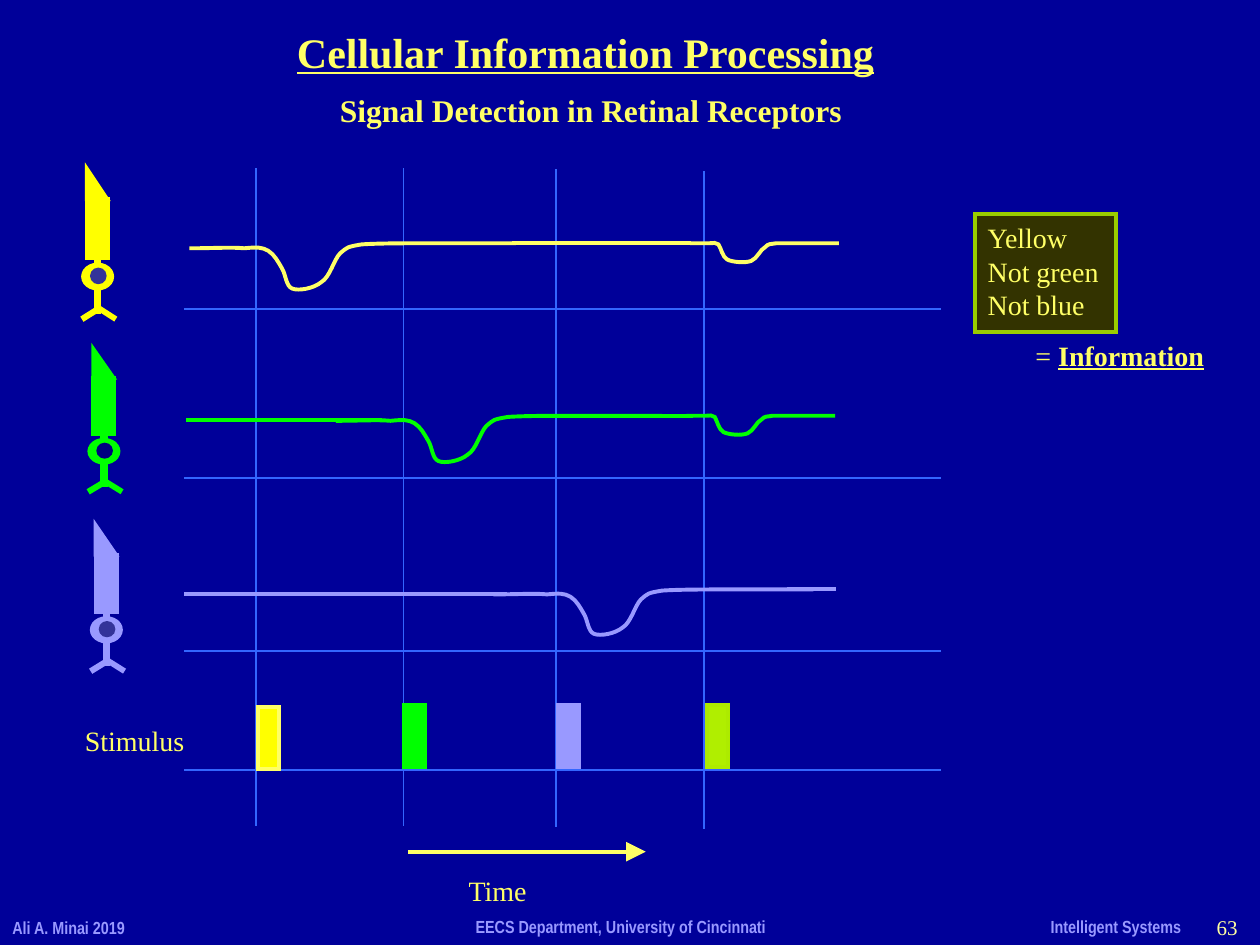
from dataclasses import dataclass

from lxml import etree
from pptx import Presentation
from pptx.dml.color import RGBColor
from pptx.enum.shapes import MSO_CONNECTOR, MSO_SHAPE
from pptx.enum.text import MSO_ANCHOR, MSO_AUTO_SIZE, PP_ALIGN
from pptx.oxml.ns import qn
from pptx.util import Pt

RECT, OVAL, WEDGE = MSO_SHAPE.RECTANGLE, MSO_SHAPE.OVAL, MSO_SHAPE.RIGHT_TRIANGLE
STRAIGHT = MSO_CONNECTOR.STRAIGHT
TOP, MIDDLE = MSO_ANCHOR.TOP, MSO_ANCHOR.MIDDLE
LEFT, RIGHT = PP_ALIGN.LEFT, PP_ALIGN.RIGHT
SERIF, NARROW = "Times New Roman", "Arial Narrow"
NAVY, PALE, YELLOW, GREEN, VIOLET = "000099", "FFFF66", "FFFF00", "00FF00", "9999FF"
GRID, INDIGO = "3366FF", "333399"
BODY = {"name": SERIF, "size": Pt(16), "color": PALE}
FOOTER = {"name": NARROW, "size": Pt(10), "color": VIOLET, "bold": True}
STRONG = {"bold": True, "underline": True}

# Bezier points, relative to the resting level: start, then three per curve
FULL_DIP = [(0, 2.9), (11.5, 2.9), (23, 2.2), (30.2, 2.9), (37.4, 2.2), (40.3, 2.2),
            (43.9, 4.3), (47.5, 6.5), (49.7, 10.8), (51.8, 14.4), (54, 18), (54, 24.5),
            (57.6, 25.9), (61.2, 27.4), (69.8, 25.9), (74.2, 22.3), (79.2, 19.4),
            (81.4, 9.4), (85, 5.8), (89.3, 2.2), (88.6, 2.2), (97.2, 0.7),
            (106.6, 0), (124.6, 0), (139, 0), (153.4, 0), (168.5, 0), (184.3, 0)]
SMALL_DIP = [(0, 0), (3.6, 0), (7.9, 0), (10.1, 0), (12.2, 0), (13.7, -0.7),
             (15.1, 0.7), (16.6, 2.9), (17.3, 7.9), (20.2, 9.4), (23, 10.8),
             (30.2, 11.5), (33.8, 10.1), (37.4, 8.6), (38.9, 3.6), (41.8, 2.2),
             (43.9, 0), (44.6, 0.7), (48.2, 0), (51.8, 0), (59.8, 0), (64.1, 0),
             (67.7, 0), (69.8, 0), (73.4, 0), (76.3, 0), (79.9, 0), (82.8, 0)]


@dataclass
class Cell:
    x: float
    y: float
    scale: float
    color: str
    pupil: str


@dataclass
class Dip:
    x: float
    y: float
    curve: list
    color: str
    scale: float = 1


@dataclass
class Line:
    x1: float
    y1: float
    x2: float
    y2: float
    color: str
    width: float = 2.25


@dataclass
class Bar:
    x: float
    y: float
    fill: str
    outline: str


@dataclass
class Label:
    text: str
    x: float
    y: float
    width: float
    height: float
    style: dict


CELLS = [Cell(49.7, 96.5, 1, YELLOW, INDIGO), Cell(53.3, 199.4, 0.95, GREEN, "000080"),
         Cell(54.7, 300.2, 0.97, VIOLET, INDIGO)]
GRID_LINES = ([Line(105.5, y, 537, y, GRID, 1) for y in (176.4, 273, 372, 440)]
              + [Line(x, y, x, y + 375, GRID, 1) for x, y in
                 ((146.3, 96.5), (230.6, 96.5), (317.6, 97.2), (402.4, 98.3))])
FLATS = [Line(293.8, 139, 393.8, 139, PALE), Line(316, 237.6, 395, 237.6, GREEN),
         Line(107.3, 240, 217.4, 240, GREEN), Line(106.5, 339.3, 288.7, 339.3, VIOLET),
         Line(450.7, 336.8, 476.6, 336.8, VIOLET)]
DIPS = [Dip(109.4, 139, FULL_DIP, PALE), Dip(193, 237.6, FULL_DIP, GREEN),
        Dip(283, 336.8, FULL_DIP, VIOLET, 0.98),
        Dip(395.5, 139, SMALL_DIP, PALE), Dip(393.3, 237.6, SMALL_DIP, GREEN)]
BARS = [Bar(147.5, 404, YELLOW, PALE), Bar(230.6, 403, GREEN, GREEN),
        Bar(318.8, 403, VIOLET, VIOLET), Bar(403.9, 403, "B0EE00", "ADEA00")]
LABELS = [
    Label("Ali A. Minai 2019", 0, 520.5, 79, 19.4, FOOTER),
    Label("Intelligent Systems", 593.3, 520, 89.5, 19.4, FOOTER),
    Label("EECS Department, University of Cincinnati", 264.7, 520, 181, 19.4, FOOTER),
    Label("Signal Detection in Retinal Receptors", 187.2, 48.2, 302, 29,
          BODY | {"size": Pt(18), "bold": True}),
    Label("Stimulus", 41.4, 409.9, 71.3, 26.6, BODY),
    Label("Time", 260.7, 495.7, 48.2, 26.6, BODY),
]


def rgb(color: str) -> RGBColor:
    return RGBColor.from_string(color)


def format_font(font, style: dict) -> None:
    for key, value in style.items():
        if key == "color":
            font.color.rgb = rgb(value)
        else:
            setattr(font, key, value)


def set_frame(frame, anchor=TOP, wrap: bool = False) -> None:
    settings = {"word_wrap": wrap, "vertical_anchor": anchor,
                "auto_size": MSO_AUTO_SIZE.NONE, "margin_left": Pt(7.2),
                "margin_right": Pt(7.2), "margin_top": Pt(3.6), "margin_bottom": Pt(3.6)}
    for key, value in settings.items():
        setattr(frame, key, value)


def set_stroke(shape, color: str, width: float, cap: str = "flat") -> None:
    shape.line.color.rgb = rgb(color)
    shape.line.width = Pt(width)
    stroke = shape.line._get_or_add_ln()
    stroke.set("cap", cap)
    etree.SubElement(stroke, qn("a:miter"), lim="800000")


def add_span(para, text: str, style: dict) -> None:
    span = para.add_run()
    span.text = text
    format_font(span.font, style)


def add_label(page, label: Label):
    box = page.shapes.add_textbox(*map(Pt, (label.x, label.y, label.width, label.height)))
    set_frame(box.text_frame)
    add_span(box.text_frame.paragraphs[0], label.text, label.style)
    return box


def add_solid(shapes, kind, x, y, width, height, fill: str, outline: str):
    shape = shapes.add_shape(kind, *map(Pt, (x, y, width, height)))
    shape.shadow.inherit = False
    shape.fill.solid()
    shape.fill.fore_color.rgb = rgb(fill)
    set_stroke(shape, outline, 2.25)
    return shape


def add_line(shapes, line: Line):
    link = shapes.add_connector(STRAIGHT, *map(Pt, (line.x1, line.y1, line.x2, line.y2)))
    set_stroke(link, line.color, line.width, "sq")
    etree.SubElement(link._element.spPr, qn("a:effectLst"))
    return link


def add_cell(page, cell: Cell) -> None:
    """Draw a receptor: tapered tip, body, axon, nucleus and two feet."""
    shapes = page.shapes.add_group_shape().shapes
    k = cell.scale

    def part(kind, x, y, width, height, color):
        return add_solid(shapes, kind, cell.x + x, cell.y + y * k, width, height * k,
                         color, color)

    def limb(x1, y1, x2, y2, width):
        return add_line(shapes, Line(cell.x + x1, cell.y + y1 * k, cell.x + x2,
                                     cell.y + y2 * k, cell.color, width))

    body = part(RECT, 0, 17.3, 12.2, 33.8, cell.color)
    limb(6.1, 51.1, 6.1, 80.6, 4.25).begin_connect(body, 2)
    part(OVAL, -2.2, 54.7, 16.6, 13.7, cell.color)
    part(OVAL, 2.9, 57.6, 7.2, 7.2, cell.pupil)
    limb(4.3, 81.4, -1.4, 85, 3.5)
    limb(7.2, 79.9, 15.1, 85, 3.25)
    part(WEDGE, 0, 0, 11.5, 17.3, cell.color)


def add_dip(page, dip: Dip) -> None:
    """Outline the dip through its anchors, then bend each segment to a Bezier."""
    points = [(Pt(dip.x + x * dip.scale), Pt(dip.y + y * dip.scale)) for x, y in dip.curve]
    builder = page.shapes.build_freeform(*points[0])
    builder.add_line_segments(points[3::3], close=False)
    trace = builder.convert_to_shape()
    for i, segment in enumerate(list(trace._element.iter(qn("a:lnTo")))):
        segment.tag = qn("a:cubicBezTo")
        for n, (x, y) in enumerate(points[3 * i + 1:3 * i + 3]):
            control = etree.Element(qn("a:pt"), x=str(x - trace.left), y=str(y - trace.top))
            segment.insert(n, control)
    trace.shadow.inherit = False
    trace.fill.background()
    set_stroke(trace, dip.color, 2.25, "sq")


def add_title(page) -> None:
    title = page.shapes.title
    title.left, title.top, title.width, title.height = map(Pt, (162.5, 11.5, 345, 36))
    set_frame(title.text_frame)
    para = title.text_frame.paragraphs[0]
    para.alignment = LEFT
    add_span(para, "Cellular Information Processing", BODY | STRONG | {"size": Pt(24)})


def main() -> None:
    deck = Presentation()
    deck.slide_width, deck.slide_height = Pt(720), Pt(540)
    page = deck.slides.add_slide(deck.slide_layouts[5])
    page.background.fill.solid()
    page.background.fill.fore_color.rgb = rgb(NAVY)
    add_title(page)
    for cell in CELLS:
        add_cell(page, cell)
    for line in GRID_LINES + FLATS:
        add_line(page.shapes, line)
    for dip in DIPS:
        add_dip(page, dip)
    for bar in BARS:
        add_solid(page.shapes, RECT, bar.x, bar.y, 12.2, 35.3, bar.fill, bar.outline)
    for label in LABELS:
        add_label(page, label)

    number = add_label(page, Label("63", 546.5, 515.5, 167.8, 28.8,
                                   {"name": SERIF, "size": Pt(12), "color": "FFFFA0"}))
    set_frame(number.text_frame, MIDDLE, True)
    number.text_frame.paragraphs[0].alignment = RIGHT
    result = add_label(page, Label("= ", 584.6, 189.7, 111.6, 26.6, BODY))
    add_span(result.text_frame.paragraphs[0], "Information", BODY | STRONG)

    finding = add_solid(page.shapes, RECT, 557.3, 122.5, 80.6, 67, "333300", "99CC00")
    frame = finding.text_frame
    set_frame(frame)
    frame.text = "Yellow\nNot green\nNot blue"
    for para in frame.paragraphs:
        para.alignment = LEFT
        format_font(para.runs[0].font, BODY)

    arrow = add_line(page.shapes, Line(234, 486.7, 369, 486.7, PALE))
    etree.SubElement(arrow.line._get_or_add_ln(), qn("a:tailEnd"),
                     type="triangle", w="lg", len="lg")
    deck.save("out.pptx")


if __name__ == "__main__":
    main()
